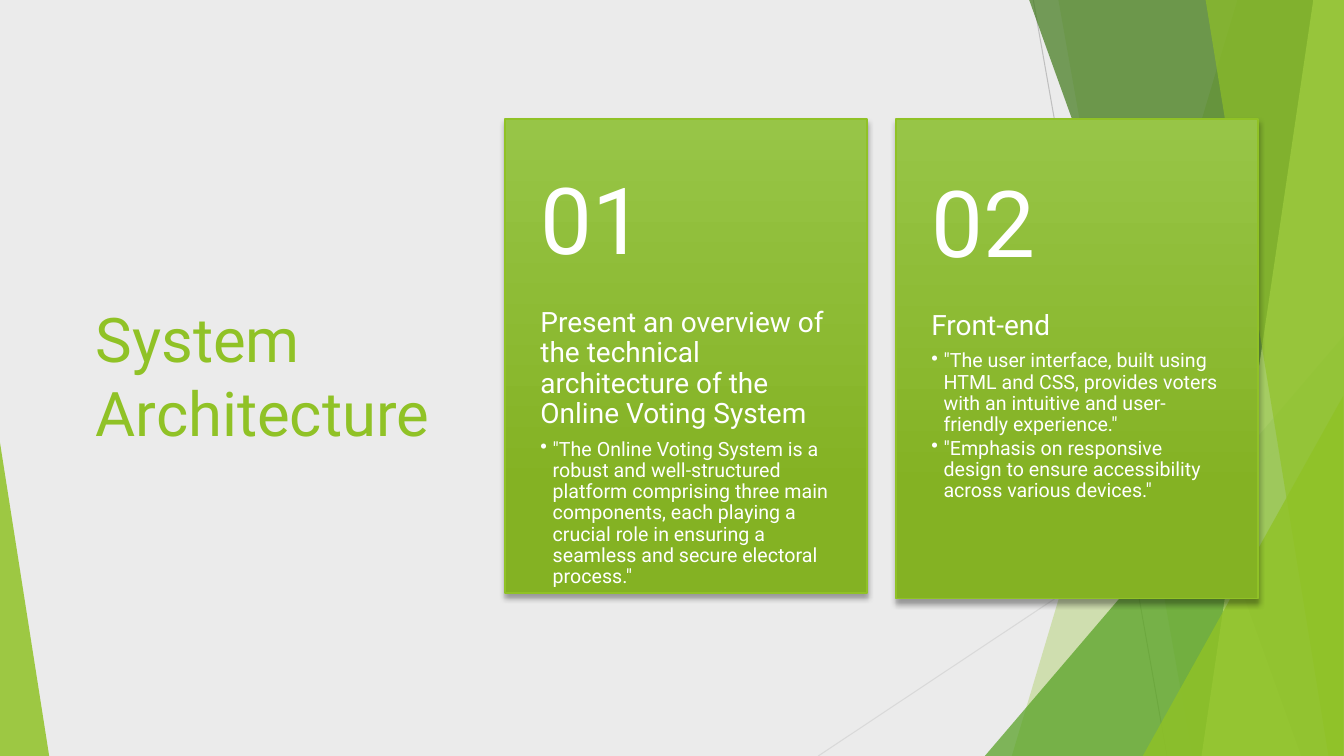
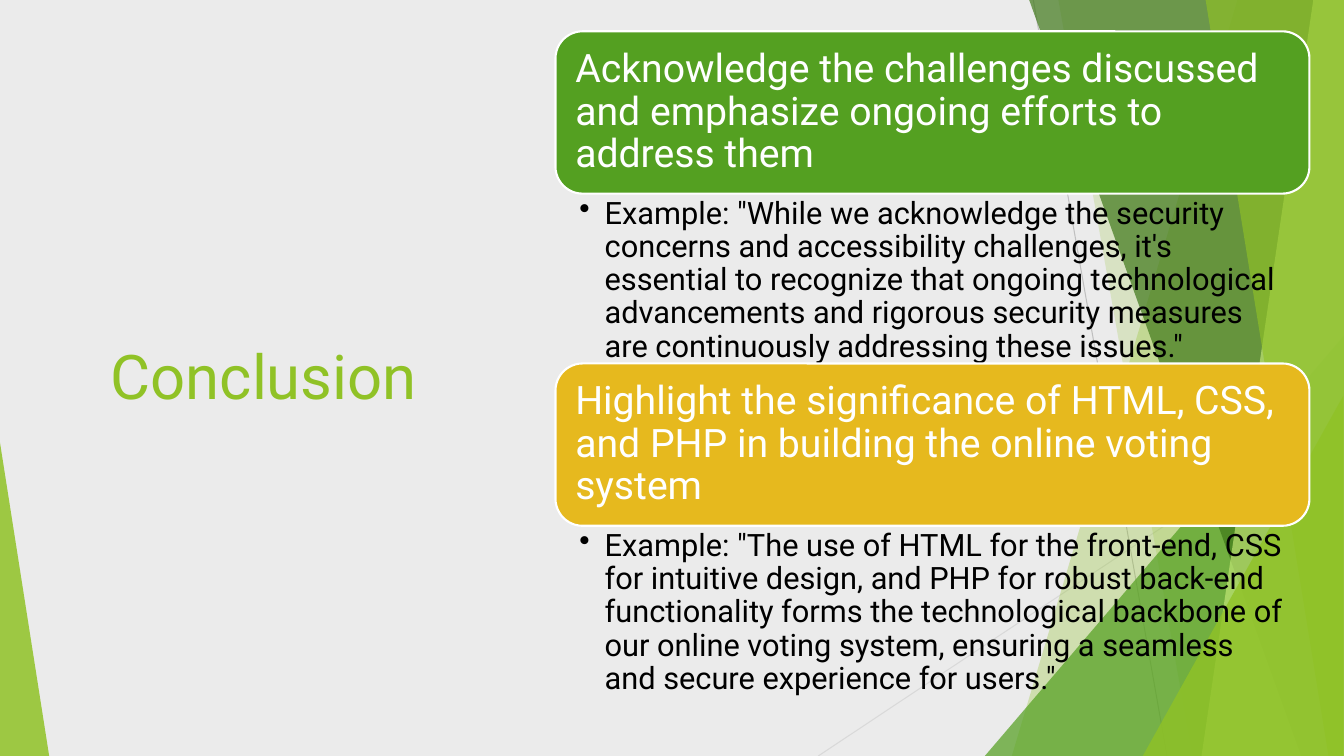
from lxml import etree
from pptx import Presentation
from pptx import util as u
from pptx.dml import color
from pptx.enum import shapes, text
from pptx.oxml import ns

COLORS = {
    "background": "EBEBEB",
    "lime": "90C226",
    "pale": "C0E474",
    "green": "54A021",
    "forest": "3F7819",
    "gold": "E6B91E",
    "card_top": "97C547",
    "card_bottom": "84B223",
    "ray_dark": "BFBFBF",
    "ray_light": "D9D9D9",
    "white": "FFFFFF",
    "black": "000000",
}
FONT = "Roboto"
WIDTH, HEIGHT = 33.87, 19.05
CARD_TOP, CARD_WIDTH = 3, 9.12
CARD_INSET = 0.89
BAND_LEFT, BAND_TOP, BAND_WIDTH, BAND_HEIGHT, BAND_PITCH = 14, 0.79, 19, 4.09, 8.37

CARDS = [
    (12.73, 11.94, "01",
     "Present an overview of the technical architecture of the Online Voting System",
     ['"The Online Voting System is a robust and well-structured platform comprising '
      'three main components, each playing a crucial role in ensuring a seamless and '
      'secure electoral process."']),
    (22.58, 12.09, "02", "Front-end",
     ['"The user interface, built using HTML and CSS, provides voters with an intuitive '
      'and user-friendly experience."',
      '"Emphasis on responsive design to ensure accessibility across various devices."']),
]
BANDS = [
    ("green",
     "Acknowledge the challenges discussed and emphasize ongoing efforts to address them",
     'Example: "While we acknowledge the security concerns and accessibility challenges, '
     "it's essential to recognize that ongoing technological advancements and rigorous "
     'security measures are continuously addressing these issues."'),
    ("gold",
     "Highlight the significance of HTML, CSS, and PHP in building the online voting system",
     'Example: "The use of HTML for the front-end, CSS for intuitive design, and PHP for '
     "robust back-end functionality forms the technological backbone of our online voting "
     'system, ensuring a seamless and secure experience for users."'),
]


def rgb(name):
    return color.RGBColor.from_string(COLORS[name])


def child(parent, tag, **attributes):
    return etree.SubElement(parent, ns.qn(tag), attributes)


def box(left, top, width, height):
    return [u.Cm(value) for value in (left, top, width, height)]


def paint(shape, fill, opacity=100):
    shape.shadow.inherit = False
    shape.line.fill.background()
    shape.fill.solid()
    shape.fill.fore_color.rgb = rgb(fill)
    if opacity < 100:
        value = next(shape.element.spPr.iter(ns.qn("a:srgbClr")))
        child(value, "a:alpha", val=str(opacity * 1000))


def outline(shape, name, width):
    shape.line.color.rgb = rgb(name)
    shape.line.width = u.Pt(width)


def add_ray(slide, start, end, name):
    ray = slide.shapes.add_connector(
        shapes.MSO_CONNECTOR.STRAIGHT, *[u.Cm(value) for value in start + end])
    outline(ray, name, 0.75)
    child(ray.element.spPr, "a:effectLst")


def add_ribbon(slide, top_left, bottom_left, fill, opacity):
    top, right, bottom = u.Cm(-0.02), u.Cm(WIDTH), u.Cm(HEIGHT)
    builder = slide.shapes.build_freeform(u.Cm(top_left), top)
    builder.add_line_segments(
        [(right, top), (right, bottom), (u.Cm(bottom_left), bottom)], close=True)
    paint(builder.convert_to_shape(), fill, opacity)


def add_triangle(slide, left, top, width, apex, fill, opacity):
    triangle = slide.shapes.add_shape(
        shapes.MSO_SHAPE.ISOSCELES_TRIANGLE, *box(left, top, width, HEIGHT - top))
    triangle.adjustments[0] = apex
    paint(triangle, fill, opacity)


def add_backdrop(slide):
    slide.background.fill.solid()
    slide.background.fill.fore_color.rgb = rgb("background")
    add_ray(slide, (26.04, 0), (29.41, HEIGHT), "ray_dark")
    add_ray(slide, (WIDTH, 10.24), (20.62, HEIGHT), "ray_light")
    add_ribbon(slide, 31.19, 25.5, "lime", 30)
    add_ribbon(slide, 26.67, 30.05, "lime", 20)
    add_triangle(slide, 24.82, 8.46, 9.05, 1, "green", 72)
    add_ribbon(slide, 25.93, 32.79, "forest", 70)
    add_ribbon(slide, 33.1, 30.28, "pale", 70)
    add_ribbon(slide, 30.38, 33.48, "lime", 65)
    add_triangle(slide, 28.8, 9.98, 5.05, 1, "lime", 80)
    add_triangle(slide, 0, 11.15, 1.24, 0, "lime", 85)


def set_frame(shape, insets, anchor):
    frame = shape.text_frame
    frame.word_wrap = True
    frame.vertical_anchor = anchor
    (frame.margin_left, frame.margin_top,
     frame.margin_right, frame.margin_bottom) = box(*insets)
    return frame


def add_text_box(slide, bounds, insets, anchor=text.MSO_ANCHOR.TOP):
    return set_frame(slide.shapes.add_textbox(*box(*bounds)), insets, anchor)


def write(paragraph, content, size, name, spacing=0.9, after=0, indent=0, bullet=False):
    paragraph.alignment = text.PP_ALIGN.LEFT
    paragraph.line_spacing = spacing
    paragraph.space_after = u.Pt(after)
    properties = paragraph._p.get_or_add_pPr()
    properties.set("marL", str(u.Cm(indent)))
    if bullet:
        properties.set("indent", str(-u.Cm(indent)))
        child(properties, "a:buChar", char="•")
    run = paragraph.add_run()
    run.text = content
    run.font.name = FONT
    run.font.size = u.Pt(size)
    run.font.color.rgb = rgb(name)


def add_title(slide, content, indent=0):
    frame = add_text_box(slide, (2.16, 1.37, 10.97, 16.15),
                         (0.25, 0.13, 0.25, 0.13), text.MSO_ANCHOR.MIDDLE)
    write(frame.paragraphs[0], content, 44, "lime", spacing=1, indent=indent)


def add_card_panel(slide, left, height):
    panel = slide.shapes.add_shape(
        shapes.MSO_SHAPE.RECTANGLE, *box(left, CARD_TOP, CARD_WIDTH, height))
    panel.shadow.inherit = False
    panel.fill.gradient()
    panel.fill.gradient_angle = 270
    stops = zip(panel.fill.gradient_stops, (("card_top", 0), ("card_bottom", 0.78)))
    for stop, (name, position) in stops:
        stop.color.rgb = rgb(name)
        stop.position = position
    outline(panel, "lime", 1)
    shadow = child(panel.element.spPr.find(ns.qn("a:effectLst")), "a:outerShdw",
                   blurRad=str(u.Pt(4)), dist=str(u.Pt(3)), dir="5400000", rotWithShape="0")
    child(child(shadow, "a:srgbClr", val=COLORS["black"]), "a:alpha", val="35000")


def add_card(slide, left, height, number, heading, points):
    add_card_panel(slide, left, height)
    body_top = CARD_TOP + 0.4 * height
    body = add_text_box(slide, (left, body_top, CARD_WIDTH, 0.6 * height),
                        (CARD_INSET, 0, CARD_INSET, 0.91))
    write(body.paragraphs[0], heading, 20, "white", after=7)
    for point in points:
        write(body.add_paragraph(), point, 14, "white", after=2, indent=0.31, bullet=True)
    label = add_text_box(slide, (left, body_top - 4.29, CARD_WIDTH, 4.37),
                         (CARD_INSET, 0.46, CARD_INSET, 0.46), text.MSO_ANCHOR.MIDDLE)
    write(label.paragraphs[0], number, 66, "white")


def add_band(slide, top, fill, heading, example):
    band = slide.shapes.add_shape(
        shapes.MSO_SHAPE.ROUNDED_RECTANGLE, *box(BAND_LEFT, top, BAND_WIDTH, BAND_HEIGHT))
    paint(band, fill)
    outline(band, "white", 1.5)
    frame = set_frame(band, (0.3, 0.3, 0.3, 0.3), text.MSO_ANCHOR.MIDDLE)
    write(frame.paragraphs[0], heading, 28, "white")
    detail = add_text_box(
        slide, (BAND_LEFT, top + BAND_HEIGHT, BAND_WIDTH, BAND_PITCH - BAND_HEIGHT),
        (0.6, 0.1, 0.56, 0.1))
    write(detail.paragraphs[0], example, 22, "black", indent=0.64, bullet=True)


def add_slide(presentation):
    slide = presentation.slides.add_slide(presentation.slide_layouts[6])
    add_backdrop(slide)
    return slide


def main():
    """Build the architecture and conclusion slides and save them."""
    presentation = Presentation()
    presentation.slide_width = u.Cm(WIDTH)
    presentation.slide_height = u.Cm(HEIGHT)

    architecture = add_slide(presentation)
    add_title(architecture, "System Architecture")
    for card in CARDS:
        add_card(architecture, *card)

    conclusion = add_slide(presentation)
    add_title(conclusion, "Conclusion", indent=0.38)
    for index, band in enumerate(BANDS):
        add_band(conclusion, BAND_TOP + index * BAND_PITCH, *band)

    presentation.save("out.pptx")


if __name__ == "__main__":
    main()
